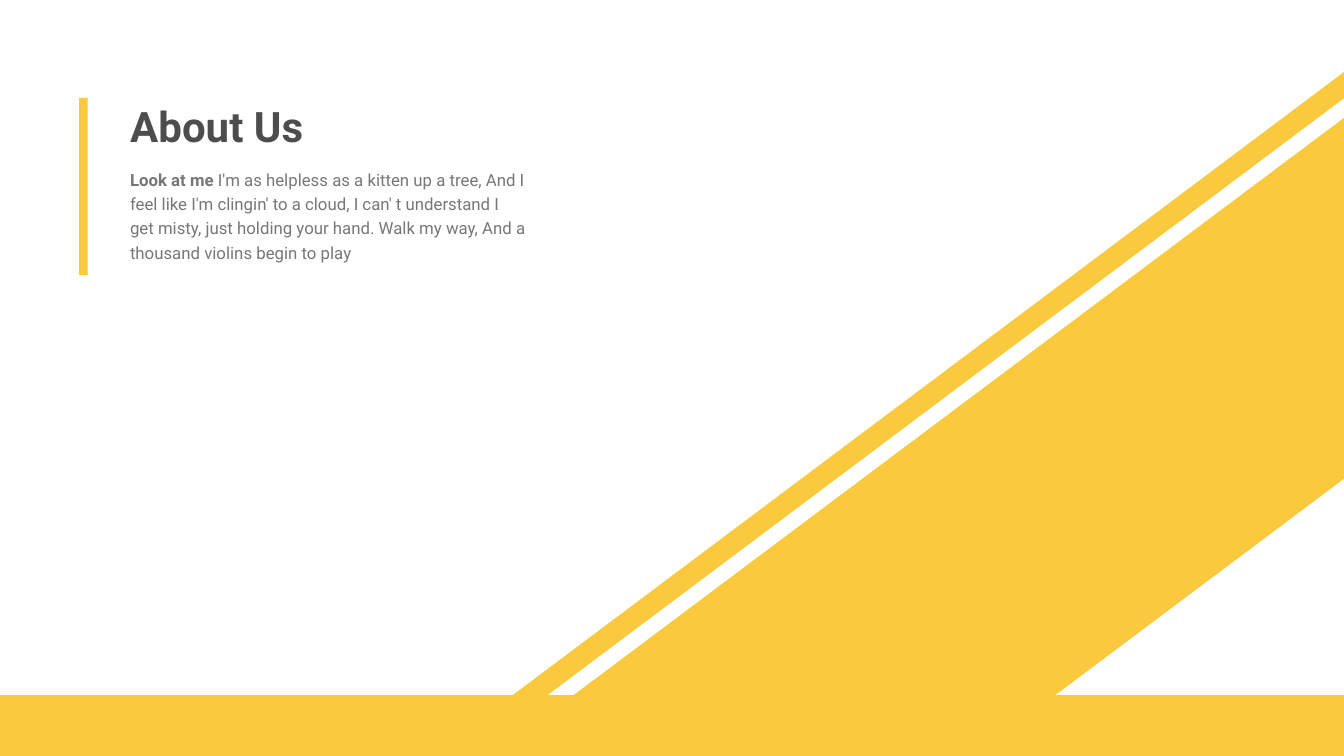
from dataclasses import dataclass

from pptx import Presentation
from pptx.dml.color import RGBColor
from pptx.enum import shapes, text
from pptx.util import Inches, Pt


@dataclass(frozen=True)
class Theme:
    """Colours, font and type sizes of the slide."""
    accent: str = "FAC93D"
    heading: str = "4D4E4C"
    body: str = "777776"
    font: str = "Roboto"
    heading_size: int = 60
    body_size: int = 24


THEME = Theme()
WIDTH, HEIGHT = 26.67, 15


def paint(shape):
    """Give a shape the flat accent fill without line or shadow."""
    shape.fill.solid()
    shape.fill.fore_color.rgb = RGBColor.from_string(THEME.accent)
    shape.line.fill.background()
    shape.shadow.inherit = False


def add_bar(slide, left, top, width, height):
    """Draw an accent rectangle."""
    paint(slide.shapes.add_shape(
        shapes.MSO_SHAPE.RECTANGLE,
        Inches(left), Inches(top), Inches(width), Inches(height)))


def add_band(slide, left, top, points):
    """Draw an accent polygon from points relative to left and top."""
    start, *rest = [(Inches(left + x), Inches(top + y)) for x, y in points]
    outline = slide.shapes.build_freeform(*start)
    outline.add_line_segments(rest, close=True)
    paint(outline.convert_to_shape())


def add_text_frame(slide, left, top, width, height, inset, wrap):
    """Add a text box with equal insets and return its frame."""
    frame = slide.shapes.add_textbox(
        Inches(left), Inches(top), Inches(width), Inches(height)).text_frame
    frame.word_wrap = wrap
    frame.auto_size = text.MSO_AUTO_SIZE.SHAPE_TO_FIT_TEXT
    frame.margin_left = frame.margin_right = Inches(inset)
    frame.margin_top = frame.margin_bottom = Inches(inset)
    return frame


def add_run(paragraph, words, size, color, bold):
    """Append a styled run to a paragraph."""
    run = paragraph.add_run()
    run.text = words
    run.font.name = THEME.font
    run.font.size = Pt(size)
    run.font.bold = bold
    run.font.color.rgb = RGBColor.from_string(color)


def add_backdrop(slide, width, height):
    """Draw the floor bar and the two diagonal bands."""
    floor = 1.21
    add_bar(slide, 0, height - floor, width, floor)
    add_band(slide, width - 18.24, 1.43,
             [(18.24, 0), (0, 13.67), (0.25, 14), (18.24, 0.52)])
    add_band(slide, width - 16.9, 2.34,
             [(16.9, 0), (0, 12.66), (9.56, 12.66), (16.9, 7.16)])


def add_about(slide, left, top, width, height):
    """Place the side rule, heading and paragraph of the about block."""
    indent, heading_height, body_top = 0.93, 1.12, 1.27
    add_bar(slide, left, top, 0.17, height)

    body = add_text_frame(slide, left + indent, top + body_top,
                          width - indent, 2.2, 0.08, True).paragraphs[0]
    body.line_spacing = 1.2
    add_run(body, "Look at me", THEME.body_size, THEME.body, True)
    add_run(body, " I'm as helpless as a kitten up a tree, And I feel like "
            "I'm clingin' to a cloud, I can' t understand I get misty, just "
            "holding your hand. Walk my way, And a thousand violins begin "
            "to play", THEME.body_size, THEME.body, False)

    frame = add_text_frame(slide, left + indent, top, 3.6, heading_height,
                           0.06, False)
    frame.vertical_anchor = text.MSO_ANCHOR.MIDDLE
    heading = frame.paragraphs[0]
    heading.alignment = text.PP_ALIGN.CENTER
    add_run(heading, "About Us", THEME.heading_size, THEME.heading, True)


def main():
    """Build and save the presentation."""
    deck = Presentation()
    deck.slide_width, deck.slide_height = Inches(WIDTH), Inches(HEIGHT)
    slide = deck.slides.add_slide(deck.slide_layouts[6])
    add_backdrop(slide, WIDTH, HEIGHT)
    add_about(slide, 1.57, 1.94, 8.94, 3.52)
    deck.save("out.pptx")


if __name__ == "__main__":
    main()
